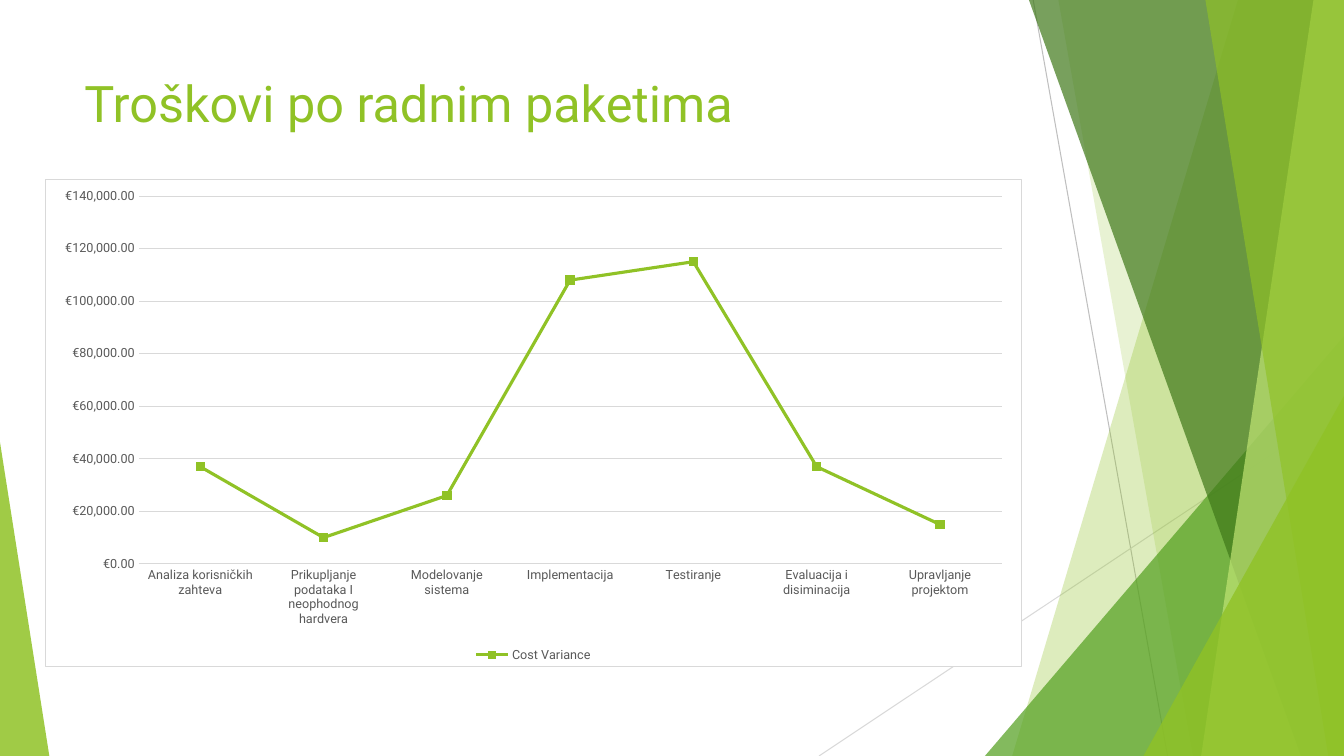
from lxml.etree import SubElement
from pptx import Presentation
from pptx.chart.data import CategoryChartData
from pptx.dml.color import RGBColor
from pptx.enum.chart import XL_CHART_TYPE, XL_LEGEND_POSITION, XL_MARKER_STYLE, XL_TICK_MARK
from pptx.enum.shapes import MSO_CONNECTOR, MSO_SHAPE
from pptx.enum.text import MSO_ANCHOR
from pptx.oxml import parse_xml
from pptx.oxml.ns import nsdecls, qn
from pptx.util import Pt

PX = 9525
WIDTH, HEIGHT = 1280, 720
FONT = "Roboto"

LIME = RGBColor(0x90, 0xC2, 0x26)
GREEN = RGBColor(0x54, 0xA0, 0x21)
FOREST = RGBColor(0x3F, 0x78, 0x19)
PALE_LIME = RGBColor(0xC0, 0xE4, 0x74)
SILVER = RGBColor(0xBF, 0xBF, 0xBF)
LIGHT_GRAY = RGBColor(0xD9, 0xD9, 0xD9)
TEXT_GRAY = RGBColor(0x59, 0x59, 0x59)

COSTS = {
    "Analiza korisničkih zahteva": 37000,
    "Prikupljanje podataka I neophodnog hardvera": 10000,
    "Modelovanje sistema": 26000,
    "Implementacija": 108000,
    "Testiranje": 115000,
    "Evaluacija i disiminacija": 37000,
    "Upravljanje projektom": 15000,
}


def px(*lengths):
    return [n * PX for n in lengths]


def set_font(font, size, color):
    font.name = FONT
    font.size = Pt(size)
    font.color.rgb = color


def add_text(s, box, text, *, size, color, anchor=MSO_ANCHOR.TOP):
    tf = s.shapes.add_textbox(*px(*box)).text_frame
    tf.word_wrap = True
    tf.vertical_anchor = anchor
    r = tf.paragraphs[0].add_run()
    r.text = text
    set_font(r.font, size, color)


def paint(sp, color, opacity):
    """Fill without outline or shadow; opacity is in percent."""
    sp.shadow.inherit = False
    sp.line.fill.background()
    sp.fill.solid()
    sp.fill.fore_color.rgb = color
    srgb = sp.fill._xPr.find(".//" + qn("a:srgbClr"))
    SubElement(srgb, qn("a:alpha")).set("val", str(opacity * 1000))


def add_ray(s, start, end, color):
    line = s.shapes.add_connector(MSO_CONNECTOR.STRAIGHT, *px(*start, *end))
    line.line.color.rgb = color
    line.line.width = Pt(0.75)
    SubElement(line._element.spPr, qn("a:effectLst"))


def add_band(s, box, top_x, bottom_x, color, opacity):
    """Band from a slanted left edge to the right side of the box."""
    x, y, w, h = box
    builder = s.shapes.build_freeform(x + top_x, y, scale=PX)
    builder.add_line_segments([(x + w, y), (x + w, y + h), (x + bottom_x, y + h)])
    paint(builder.convert_to_shape(), color, opacity)


def add_wedge(s, box, apex, color, opacity):
    """Triangle whose apex is at a fraction of its width."""
    sp = s.shapes.add_shape(MSO_SHAPE.ISOSCELES_TRIANGLE, *px(*box))
    sp.adjustments[0] = apex
    paint(sp, color, opacity)


def add_decor(s, box):
    x, y, w, h = box
    right, bottom = x + w, y + h
    add_ray(s, (x + 204, y), (x + 332, bottom), SILVER)
    add_ray(s, (right, y + 387), (x, bottom), LIGHT_GRAY)
    add_band(s, box, 399, 184, LIME, 30)
    add_band(s, box, 228, 356, LIME, 20)
    add_wedge(s, (right - 342, bottom - 400, 342, 400), 1, GREEN, 72)
    add_band(s, box, 200, 459, FOREST, 70)
    add_band(s, box, 471, 364, PALE_LIME, 70)
    add_band(s, box, 368, 485, LIME, 65)
    add_wedge(s, (right - 191, bottom - 343, 191, 343), 1, LIME, 80)


def style_axis(axis):
    axis.major_tick_mark = axis.minor_tick_mark = XL_TICK_MARK.NONE
    set_font(axis.tick_labels.font, 9, TEXT_GRAY)


def add_gray_line(fmt):
    fmt.line.color.rgb = LIGHT_GRAY
    fmt.line.width = Pt(0.75)


def frame_chart(chart):
    frame = parse_xml(
        f'<c:spPr {nsdecls("c", "a")}>'
        '<a:solidFill><a:srgbClr val="FFFFFF"/></a:solidFill>'
        f'<a:ln w="{Pt(0.75)}"><a:solidFill><a:srgbClr val="{LIGHT_GRAY}"/>'
        '</a:solidFill></a:ln></c:spPr>')
    chart._chartSpace.chart.addnext(frame)


def add_cost_chart(s, box):
    data = CategoryChartData(number_format="\\€#,##0.00")
    data.categories = COSTS.keys()
    data.add_series("Cost Variance", COSTS.values())
    chart = s.shapes.add_chart(XL_CHART_TYPE.LINE_MARKERS, *px(*box), data).chart
    set_font(chart.font, 10, TEXT_GRAY)
    frame_chart(chart)
    chart.has_title = False
    chart.has_legend = True
    chart.legend.position = XL_LEGEND_POSITION.BOTTOM
    chart.legend.include_in_layout = False
    set_font(chart.legend.font, 9, TEXT_GRAY)

    style_axis(chart.category_axis)
    add_gray_line(chart.category_axis.format)

    values = chart.value_axis
    style_axis(values)
    values.minimum_scale, values.maximum_scale, values.major_unit = 0, 140000, 20000
    values.format.line.fill.background()
    values.has_major_gridlines = True
    add_gray_line(values.major_gridlines.format)
    values.tick_labels.number_format = "\\€#,##0.00"
    values.tick_labels.number_format_is_linked = False

    chart.plots[0].vary_by_categories = False
    series = chart.plots[0].series[0]
    series.smooth = False
    series.format.line.color.rgb = LIME
    series.format.line.width = Pt(2.25)
    series.marker.style = XL_MARKER_STYLE.SQUARE
    series.marker.size = 6
    series.marker.format.fill.solid()
    series.marker.format.fill.fore_color.rgb = LIME
    series.marker.format.line.color.rgb = LIME


def main():
    prs = Presentation()
    prs.slide_width, prs.slide_height = px(WIDTH, HEIGHT)
    s = prs.slides.add_slide(prs.slide_layouts[6])
    add_decor(s, (780, 0, WIDTH - 780, HEIGHT))
    add_wedge(s, (0, HEIGHT - 299, 47, 299), 0, LIME, 85)
    add_text(s, (71, 64, 902, 138), "Troškovi po radnim paketima", size=36, color=LIME)
    add_cost_chart(s, (43, 170, 930, 465))
    prs.save("out.pptx")


if __name__ == "__main__":
    main()
